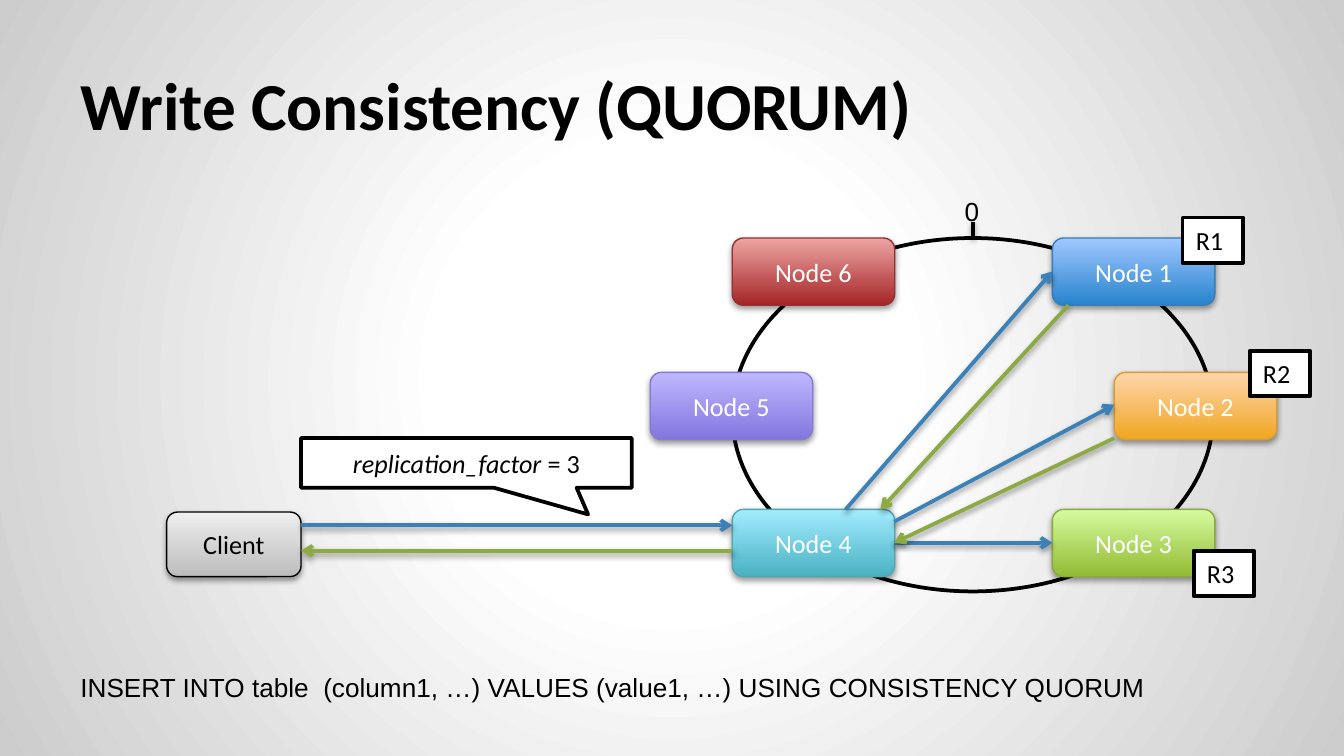
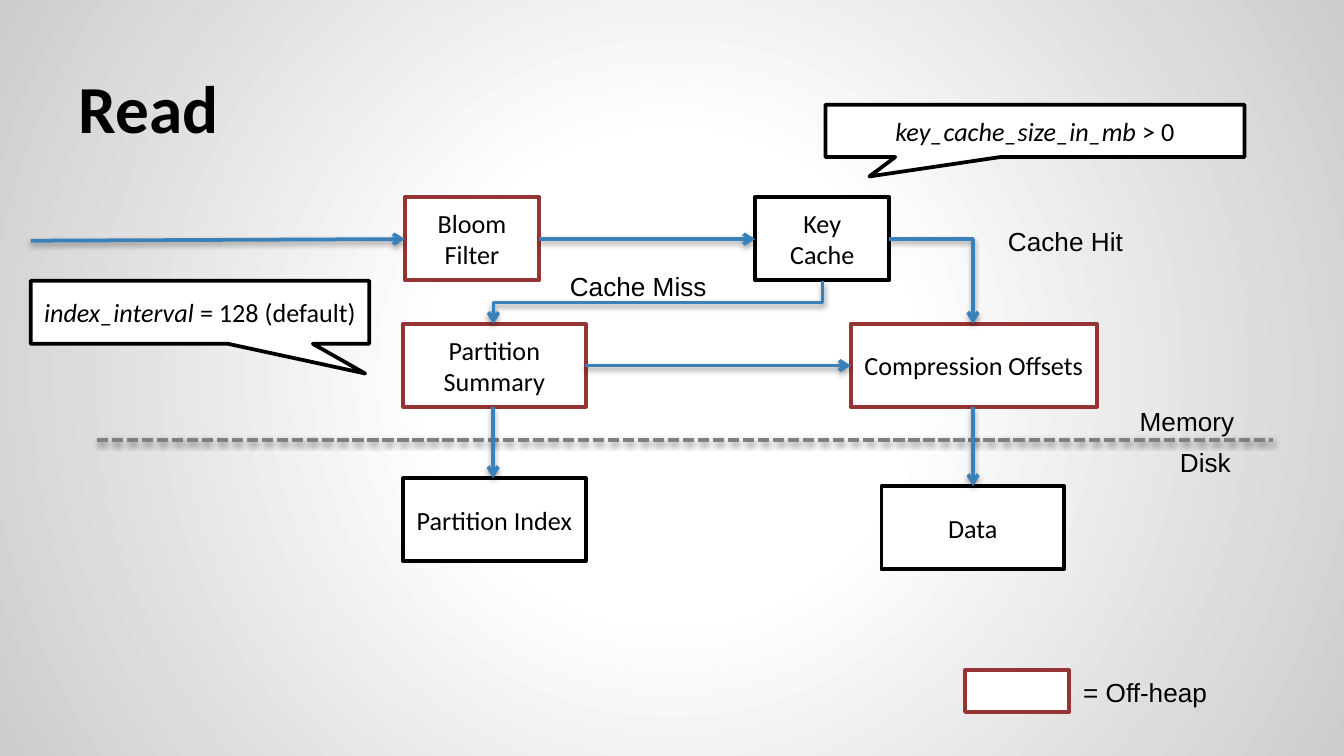
from pptx import Presentation
from pptx.dml.color import RGBColor
from pptx.enum.dml import MSO_LINE
from pptx.enum.shapes import MSO_CONNECTOR, MSO_SHAPE
from pptx.enum.text import MSO_ANCHOR, PP_ALIGN
from pptx.oxml import parse_xml
from pptx.oxml.ns import nsdecls, qn
from pptx.util import Cm, Pt

RECTANGLE = MSO_SHAPE.RECTANGLE
ROUNDED = MSO_SHAPE.ROUNDED_RECTANGLE
OVAL = MSO_SHAPE.OVAL
CALLOUT = MSO_SHAPE.RECTANGULAR_CALLOUT
STRAIGHT = MSO_CONNECTOR.STRAIGHT
ELBOW = MSO_CONNECTOR.ELBOW
SYSTEM_DASH = MSO_LINE.SQUARE_DOT
TOP, MIDDLE, BOTTOM = MSO_ANCHOR.TOP, MSO_ANCHOR.MIDDLE, MSO_ANCHOR.BOTTOM
LEFT, CENTER = PP_ALIGN.LEFT, PP_ALIGN.CENTER

COLORS = {
    "black": "000000",
    "white": "FFFFFF",
    "edge": "CCCCCC",
    "gray": "808080",
    "request": "3A81BA",
    "response": "8BAB42",
    "off_heap": "963334",
    "client_low": "BDBDBD",
    "client_high": "EEEEEE",
}
# Bottom, top and outline colour of each node
NODE_COLORS = {
    1: ("2783CD", "A0C8FF", "367EB9"),
    2: ("F0A621", "FFD6AD", "D79D34"),
    3: ("91BB32", "D6FBA0", "89AA3E"),
    4: ("49B1C3", "A2EDFF", "53A5B3"),
    5: ("8275DE", "BFB8FF", "867CCF"),
    6: ("A52425", "EDA5A5", "952F30"),
}
BODY_FONT, LABEL_FONT = "Calibri", "Arial"
LABEL_HEIGHT = 0.86
SHADOW = (
    f'<a:outerShdw {nsdecls("a")} blurRad="40000" dist="20000" dir="5400000" '
    'rotWithShape="0"><a:srgbClr val="000000"><a:alpha val="38000"/>'
    "</a:srgbClr></a:outerShdw>"
)


def add_text(slide, text, left, top, width, height, *, kind=None, lead="",
             fill=None, line=None, line_width=2, shadow=False, font=BODY_FONT,
             size=14, color=COLORS["black"], bold=False, align=CENTER,
             anchor=MIDDLE, wrap=True, adjust=()):
    """Add a text box, or a shape of the given kind; lead is italic text in front."""
    place = Cm(left), Cm(top), Cm(width), Cm(height)
    if kind is None:
        shape = slide.shapes.add_textbox(*place)
    else:
        shape = slide.shapes.add_shape(kind, *place)
        for index, value in enumerate(adjust):
            shape.adjustments[index] = value
        if fill is None:
            shape.fill.background()
        elif isinstance(fill, tuple):
            shape.fill.gradient()
            shape.fill.gradient_angle = 90
            for stop, stop_color in zip(shape.fill.gradient_stops, fill):
                stop.color.rgb = RGBColor.from_string(stop_color)
        else:
            shape.fill.solid()
            shape.fill.fore_color.rgb = RGBColor.from_string(fill)
        shape.line.color.rgb = RGBColor.from_string(line)
        shape.line.width = Pt(line_width)
        shape.shadow.inherit = False
        if shadow:
            effects = shape.element.spPr.find(qn("a:effectLst"))
            effects.append(parse_xml(SHADOW))
    frame = shape.text_frame
    frame.word_wrap = wrap
    frame.vertical_anchor = anchor
    paragraph = frame.paragraphs[0]
    paragraph.alignment = align
    for part, italic in ((lead, True), (text, False)):
        if part:
            run = paragraph.add_run()
            run.text = part
            run.font.name = font
            run.font.size = Pt(size)
            run.font.bold = bold
            run.font.italic = italic
            run.font.color.rgb = RGBColor.from_string(color)
    return shape


def add_line(slide, start, end, *, color=COLORS["request"], kind=STRAIGHT,
             arrow=True, dash=None):
    """Add a shadowed connector between two points, with an arrowhead if wanted."""
    connector = slide.shapes.add_connector(
        kind, Cm(start[0]), Cm(start[1]), Cm(end[0]), Cm(end[1]))
    connector.line.color.rgb = RGBColor.from_string(color)
    connector.line.width = Pt(2)
    if dash is not None:
        connector.line.dash_style = dash
    properties = connector.element.spPr
    if arrow:
        properties.find(qn("a:ln")).append(
            parse_xml(f'<a:tailEnd {nsdecls("a")} type="arrow"/>'))
    effects = parse_xml(f'<a:effectLst {nsdecls("a")}/>')
    effects.append(parse_xml(SHADOW))
    properties.append(effects)
    return connector


presentation = Presentation()
presentation.slide_width = Cm(25.4)
presentation.slide_height = Cm(14.29)
blank_layout = presentation.slide_layouts[6]

# Shared formats
title_format = dict(size=36, bold=True, align=LEFT, anchor=BOTTOM)
label_format = dict(font=LABEL_FONT, align=LEFT, anchor=TOP)
callout_format = dict(kind=CALLOUT, fill=COLORS["white"], line=COLORS["black"])

# Shared background: white centre fading to gray edges
master = presentation.slide_master
background = master.background.fill
background.gradient()
for stop, position, name in zip(background.gradient_stops, (0.3, 1), ("white", "edge")):
    stop.position = position
    stop.color.rgb = RGBColor.from_string(COLORS[name])
gradient = master.element.find(".//" + qn("a:gradFill"))
gradient.replace(gradient.find(qn("a:lin")), parse_xml(
    f'<a:path {nsdecls("a")} path="circle">'
    '<a:fillToRect l="50000" t="50000" r="50000" b="50000"/></a:path>'))

# Slide 1: write consistency
slide = presentation.slides.add_slide(blank_layout)
title = add_text(slide, "Write Consistency (QUORUM)", 1.27, 0.58, 22.86, 2.39, **title_format)
title.text_frame.margin_bottom = Cm(0.25)

# Ring with its zero mark
add_text(slide, "", 13.84, 4.5, 9.09, 6.68, kind=OVAL, line=COLORS["black"])
add_text(slide, "0", 17.98, 3.56, 0.79, LABEL_HEIGHT, wrap=False, **label_format)
add_line(slide, (18.39, 4.19), (18.39, 4.5), color=COLORS["black"], arrow=False)

node_places = {1: (19.89, 4.5), 2: (21.06, 7.04), 3: (19.89, 9.63),
               4: (13.84, 9.63), 5: (12.29, 7.04), 6: (13.84, 4.5)}
for number, (left, top) in node_places.items():
    low, high, outline = NODE_COLORS[number]
    add_text(slide, f"Node {number}", left, top, 3.07, 1.27, kind=ROUNDED,
             fill=(low, high), line=outline, line_width=0.75, shadow=True,
             color=COLORS["white"])
add_text(slide, "Client", 3.15, 9.68, 2.54, 1.22, kind=ROUNDED,
         fill=(COLORS["client_low"], COLORS["client_high"]),
         line=COLORS["black"], line_width=0.75, shadow=True)

requests = [((5.69, 9.93), (13.84, 9.93)), ((15.98, 9.63), (19.89, 5.13)),
            ((16.9, 9.86), (21.06, 7.65)), ((16.9, 10.26), (19.89, 10.26))]
responses = [((20.19, 5.77), (16.64, 9.63)), ((13.84, 10.41), (5.69, 10.41)),
             ((21.06, 8.28), (16.9, 10.26))]
for name, arrows in (("request", requests), ("response", responses)):
    for start, end in arrows:
        add_line(slide, start, end, color=COLORS[name])

add_text(slide, " = 3", 5.69, 8.28, 6.25, 0.94, lead="replication_factor",
         adjust=(0.368, 1.037), **callout_format)
replica_places = [(22.35, 4.11), (23.62, 6.63), (22.56, 10.41)]
for number, (left, top) in enumerate(replica_places, start=1):
    add_text(slide, f"R{number}", left, top, 1.14, LABEL_HEIGHT, kind=RECTANGLE,
             fill=COLORS["white"], line=COLORS["black"], align=LEFT, anchor=TOP,
             wrap=False)
add_text(slide, "INSERT INTO table  (column1, …) VALUES (value1, …) USING CONSISTENCY QUORUM",
         1.27, 12.57, 22.86, LABEL_HEIGHT, **label_format)

# Slide 2: read
slide = presentation.slides.add_slide(blank_layout)
title = add_text(slide, "Read", 1.24, 0.64, 22.86, 2.39, **title_format)
title.text_frame.margin_bottom = Cm(0.25)

# Border between memory and disk
add_line(slide, (1.83, 8.31), (24.05, 8.31), color=COLORS["gray"], arrow=False,
         dash=SYSTEM_DASH)

boxes = [
    ("Bloom Filter", 7.65, 3.73, 2.54, 1.57, "off_heap"),
    ("Key Cache", 14.27, 3.73, 2.54, 1.57, "black"),
    ("Partition Summary", 7.62, 6.12, 3.45, 1.57, "off_heap"),
    ("Compression Offsets", 16.08, 6.12, 4.65, 1.57, "off_heap"),
    ("Partition Index", 7.62, 9.04, 3.45, 1.57, "black"),
    ("Data", 16.66, 9.19, 3.45, 1.57, "black"),
    ("", 18.24, 12.67, 1.96, 0.79, "off_heap"),
]
for text, left, top, width, height, outline in boxes:
    add_text(slide, text, left, top, width, height, kind=RECTANGLE,
             fill=COLORS["white"], line=COLORS[outline])

steps = [((0.58, 4.55), (7.65, 4.52)), ((10.19, 4.52), (14.27, 4.52)),
         ((9.32, 7.7), (9.32, 9.04)), ((11.05, 6.91), (16.08, 6.91)),
         ((18.39, 7.7), (18.39, 9.19))]
for start, end in steps:
    add_line(slide, start, end)

# Cache miss: an elbow turned by 90 degrees, so that it leaves downwards
cache_miss = add_line(slide, (12.03, 2.61), (12.84, 8.83), kind=ELBOW)
cache_miss.element.spPr.find(qn("a:xfrm")).set("rot", "5400000")
# Cache hit: an elbow with a single corner
cache_hit = add_line(slide, (16.81, 4.52), (18.39, 6.12), kind=ELBOW)
cache_hit.element.spPr.find(qn("a:prstGeom")).set("prst", "bentConnector2")

labels = [("Memory", 21.29, 7.54, 2.77), ("Disk", 22.05, 8.31, 1.47),
          ("Cache Hit", 18.8, 4.14, 2.69), ("Cache Miss", 10.52, 4.98, 3.12),
          ("= Off-heap", 20.22, 12.67, 2.87)]
for text, left, top, width in labels:
    add_text(slide, text, left, top, width, LABEL_HEIGHT, wrap=text == "Memory",
             **label_format)

add_text(slide, " > 0", 15.6, 1.98, 7.92, 0.99, lead="key_cache_size_in_mb",
         adjust=(-0.395, 0.87), **callout_format)
add_text(slide, "= 128 (default)", 0.58, 5.31, 6.4, 1.19, lead="index_interval ",
         adjust=(0.488, 0.972), **callout_format)

presentation.save("out.pptx")
